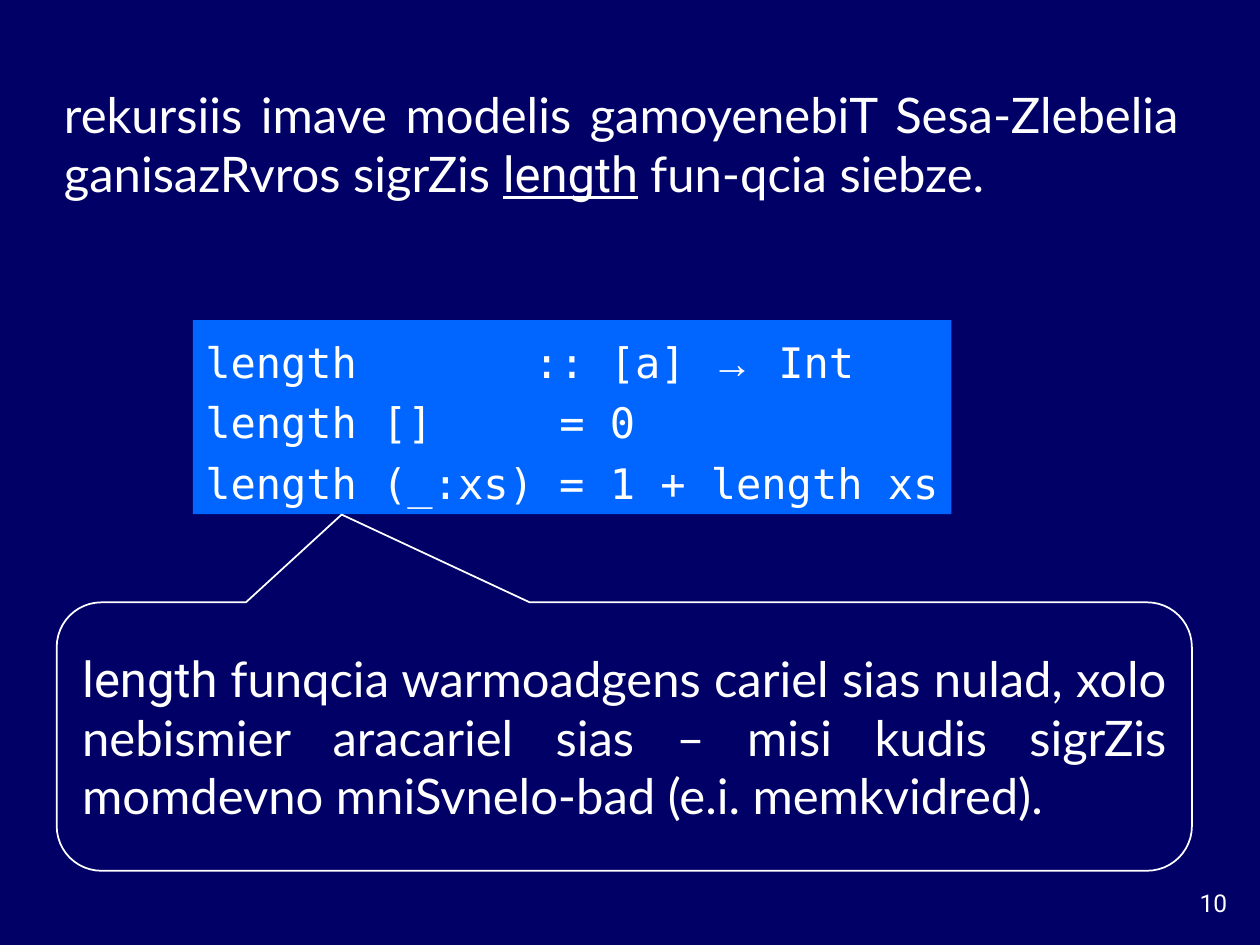
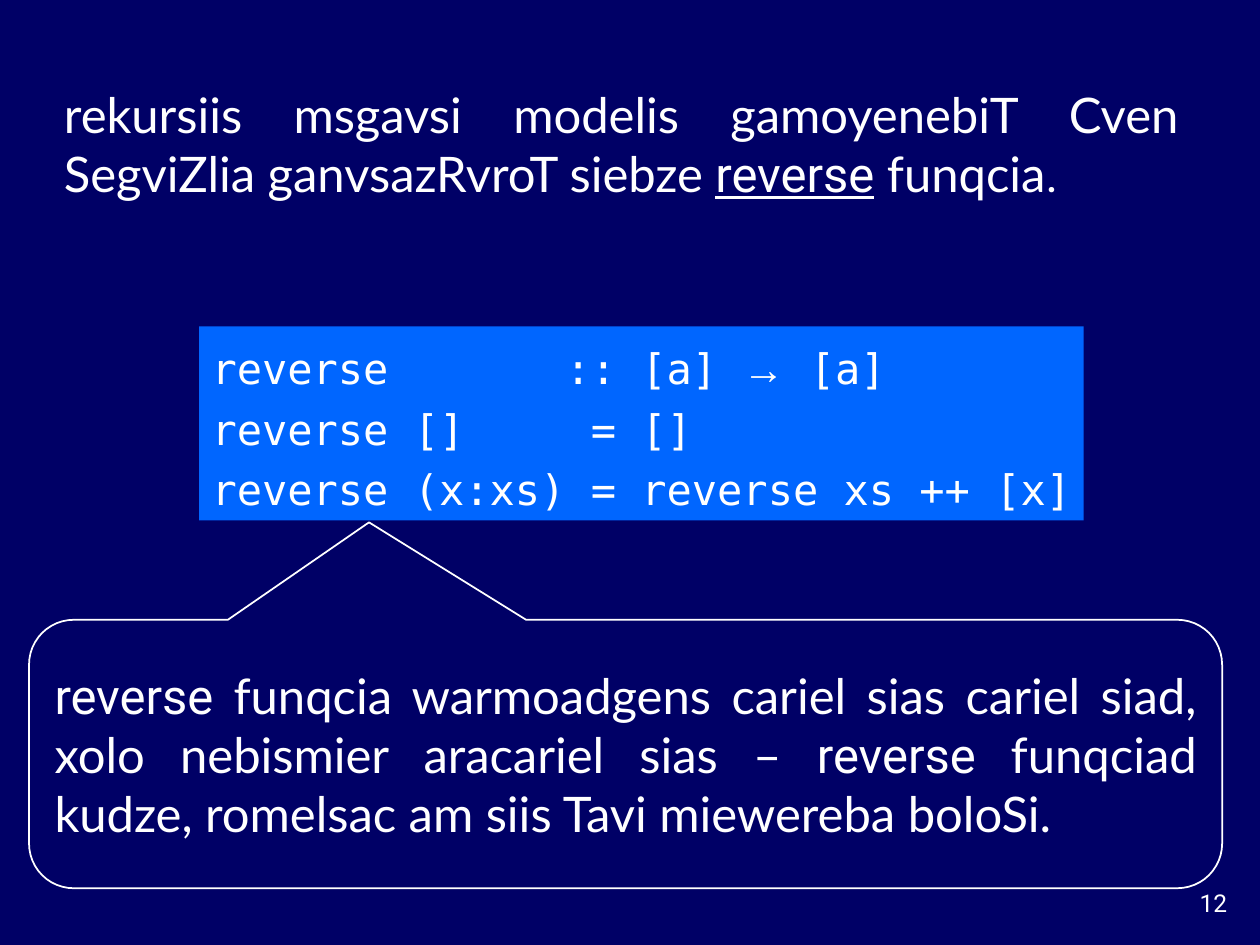
import dataclasses

import pptx
import pptx.dml.color
import pptx.enum.shapes
import pptx.enum.text
import pptx.oxml
import pptx.oxml.ns
import pptx.util

Pt = pptx.util.Pt
RGB = pptx.dml.color.RGBColor
ALIGN = pptx.enum.text.PP_ALIGN
ANCHOR = pptx.enum.text.MSO_ANCHOR
SHAPE = pptx.enum.shapes.MSO_SHAPE


@dataclasses.dataclass(frozen=True)
class Theme:
    back: RGB = RGB.from_string("000066")
    panel: RGB = RGB.from_string("0066FF")
    ink: RGB = RGB.from_string("FFFFFF")
    body: str = "Lato"
    term: str = "Roboto"
    code: str = "DejaVu Sans Mono"
    symbol: str = "Arial"
    body_size: int = 28
    code_size: int = 24
    number_size: int = 14
    code_spacing: float = 1.2
    code_advance: float = 14.45  # width of one code character


T = Theme()


def set_frame(s, anchor=ANCHOR.MIDDLE, wrap=True):
    tf = s.text_frame
    tf.word_wrap = wrap
    tf.vertical_anchor = anchor
    return tf


def write(p, runs, size, align):
    """Fill a paragraph from (text, font) or (text, font, underline) runs."""
    p.alignment = align
    p.font.size = Pt(size)
    p.font.color.rgb = T.ink
    for text, font, *underline in runs:
        r = p.add_run()
        r.text = text
        r.font.name = font
        if underline:
            r.font.underline = True


def add_tab_stop(p, column):
    pos = Pt(column * T.code_advance)
    ns = pptx.oxml.ns.nsdecls("a")
    tabs = f'<a:tabLst {ns}><a:tab pos="{pos}" algn="l"/></a:tabLst>'
    p._p.get_or_add_pPr().append(pptx.oxml.parse_xml(tabs))


def add_panel(slide, kind, box):
    s = slide.shapes.add_shape(kind, *map(Pt, box))
    s.shadow.inherit = False
    return s


def add_statement(slide, box, runs):
    s = slide.shapes.add_textbox(*map(Pt, box))
    write(set_frame(s).paragraphs[0], runs, T.body_size, ALIGN.JUSTIFY)


def add_code(slide, box, lines):
    """Code panel; each line is (tab column or None, runs)."""
    s = add_panel(slide, SHAPE.RECTANGLE, box)
    s.fill.solid()
    s.fill.fore_color.rgb = T.panel
    s.line.fill.background()
    tf = set_frame(s, wrap=False)
    for i, (column, runs) in enumerate(lines):
        p = tf.add_paragraph() if i else tf.paragraphs[0]
        p.line_spacing = T.code_spacing
        if column:
            add_tab_stop(p, column)
        write(p, runs, T.code_size, ALIGN.LEFT)


def add_callout(slide, box, tip, runs):
    s = add_panel(slide, SHAPE.ROUNDED_RECTANGULAR_CALLOUT, box)
    s.fill.background()
    s.line.color.rgb = T.ink
    s.line.width = Pt(1)
    s.adjustments[0], s.adjustments[1] = tip
    write(set_frame(s).paragraphs[0], runs, T.body_size, ALIGN.JUSTIFY)


def add_number(slide, number):
    s = slide.shapes.add_textbox(Pt(660.2), Pt(504), Pt(48.2), Pt(23.8))
    p = set_frame(s, ANCHOR.TOP).paragraphs[0]
    write(p, [(str(number), T.term)], T.number_size, ALIGN.RIGHT)


def function_code(name, result, empty, pattern, step):
    """Type signature, empty-list case and recursive case, aligned by column."""
    equals = len(f"{name} {pattern} ")
    return [
        (equals - 1, [(f"{name}\t:: [a] ", T.code), ("→", T.symbol),
                      (f" {result}", T.code)]),
        (equals, [(f"{name} []\t= {empty}", T.code)]),
        (None, [(f"{name} {pattern} = {step}", T.code)]),
    ]


def add_function_slide(prs, number, statement, code, callout):
    slide = prs.slides.add_slide(prs.slide_layouts[6])
    add_number(slide, number)
    add_statement(slide, *statement)
    add_code(slide, *code)
    add_callout(slide, *callout)


def main():
    prs = pptx.Presentation()
    prs.slide_width, prs.slide_height = Pt(720), Pt(540)
    fill = prs.slide_master.background.fill
    fill.solid()
    fill.fore_color.rgb = T.back

    # length
    add_function_slide(
        prs, 10,
        statement=((29.5, 28, 651, 108), [
            ("rekursiis imave modelis gamoyenebiT Sesa-Zlebelia "
             "ganisazRvros sigrZis ", T.body),
            ("length", T.term, True),
            (" ", T.term),
            ("fun-qcia siebze.", T.body)]),
        code=((110.2, 182.9, 433.4, 110.9),
              function_code("length", "Int", "0", "(_:xs)", "1 + length xs")),
        callout=((32.4, 344.2, 648.7, 153.4), (-0.249, -0.827), [
            ("length ", T.term),
            ("funqcia warmoadgens cariel sias nulad, xolo nebismier aracariel "
             "sias – misi kudis sigrZis momdevno mniSvnelo-bad "
             "(e.i. memkvidred).", T.body)]))

    # reverse
    add_function_slide(
        prs, 12,
        statement=((29.5, 44.6, 651, 74.9), [
            ("rekursiis msgavsi modelis gamoyenebiT Cven SegviZlia "
             "ganvsazRvroT siebze ", T.body),
            ("reverse", T.term, True),
            (" funqcia", T.body),
            (".", T.term)]),
        code=((113.8, 186.5, 505.4, 110.9),
              function_code("reverse", "[a]", "[]", "(x:xs)",
                            "reverse xs ++ [x]")),
        callout=((16.6, 354.2, 681.8, 153.4), (-0.215, -0.863), [
            ("reverse ", T.term),
            ("funqcia warmoadgens cariel sias cariel siad, xolo nebismier "
             "aracariel sias – ", T.body),
            ("reverse ", T.term),
            ("funqciad kudze, romelsac am siis Tavi miewereba boloSi.",
             T.body)]))

    prs.save("out.pptx")


if __name__ == "__main__":
    main()
